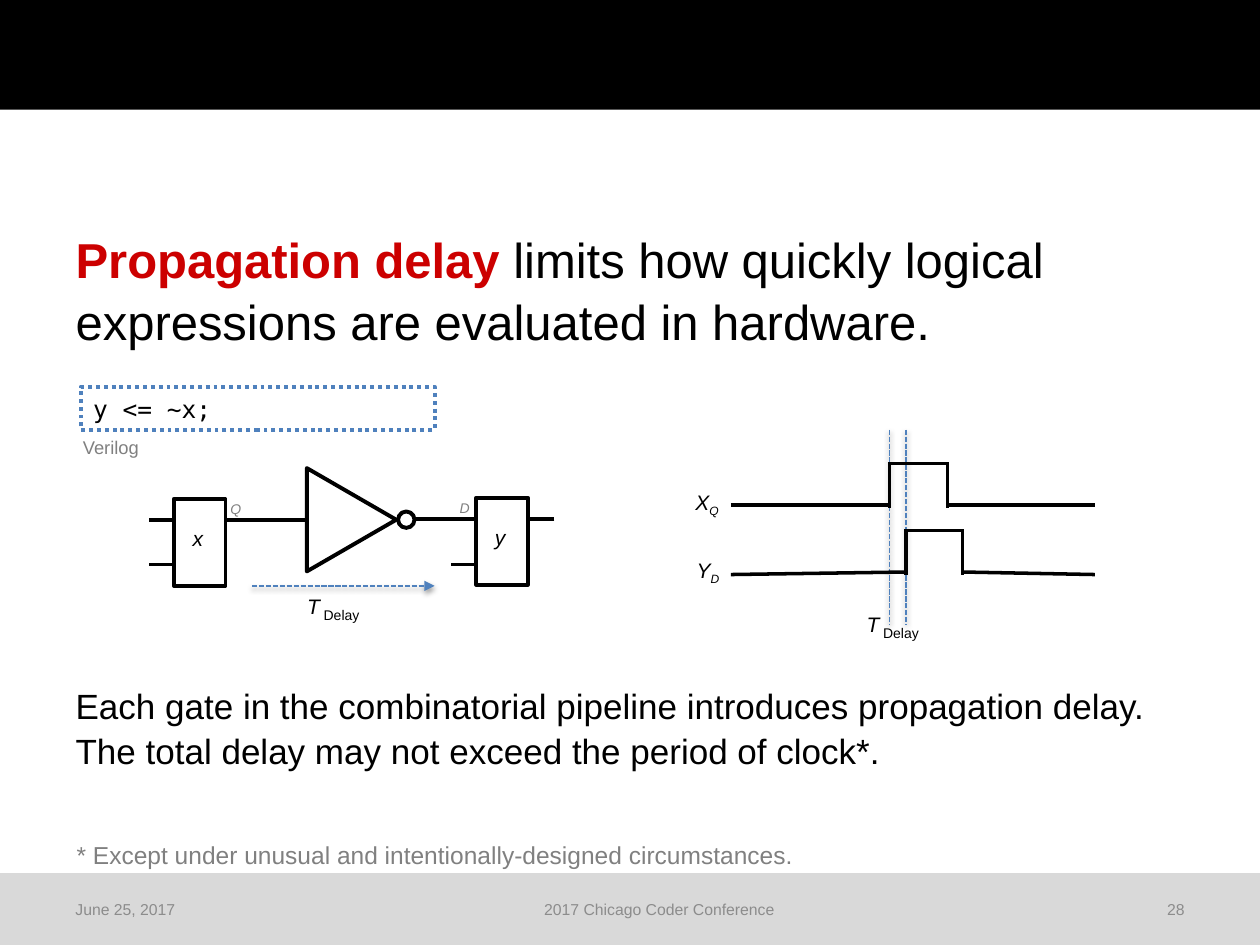
from lxml.etree import SubElement
from pptx import Presentation
from pptx.dml.color import RGBColor
from pptx.enum.dml import MSO_LINE
from pptx.enum.shapes import MSO_CONNECTOR, MSO_SHAPE
from pptx.enum.text import MSO_ANCHOR, MSO_AUTO_SIZE, PP_ALIGN
from pptx.oxml.ns import qn
from pptx.util import Inches, Pt

BLACK, WHITE, GRAY, BLUE = "000000", "FFFFFF", "808080", "4F81BD"
color = RGBColor.from_string

presentation = Presentation()
presentation.slide_width = Inches(10)
presentation.slide_height = Inches(7.5)
slide = presentation.slides.add_slide(presentation.slide_layouts[1])
title = slide.shapes.title
title.element.getparent().remove(title.element)


def add_line(start, end, width, dashed=False):
    line = slide.shapes.add_connector(
        MSO_CONNECTOR.STRAIGHT, *[Inches(value) for value in (*start, *end)])
    line.line.width = Pt(width)
    line.line.color.rgb = color(BLUE if dashed else BLACK)
    effects = SubElement(line.element.spPr, qn("a:effectLst"))
    if dashed:
        line.line.dash_style = MSO_LINE.SQUARE_DOT
        shadow = SubElement(effects, qn("a:outerShdw"), blurRad=str(Pt(3.1)),
                            dist=str(Pt(1.6)), dir="5400000", rotWithShape="0")
        shadow_color = SubElement(shadow, qn("a:srgbClr"), val=BLACK)
        SubElement(shadow_color, qn("a:alpha"), val="38000")
    return line


def add_text(box, text, size, text_color=BLACK, italic=False, subscript="",
             align=PP_ALIGN.LEFT, anchor=MSO_ANCHOR.MIDDLE, wrap=False):
    shape = slide.shapes.add_textbox(*[Inches(value) for value in box])
    frame = shape.text_frame
    frame.word_wrap = wrap
    frame.vertical_anchor = anchor
    paragraph = frame.paragraphs[0]
    paragraph.text = text
    paragraph.alignment = align
    if subscript:
        run = paragraph.add_run()
        run.text = subscript
        run._r.get_or_add_rPr().set("baseline", "-25000")
    for run in paragraph.runs:
        run.font.name = "Arial"
        run.font.size = Pt(size)
        run.font.italic = italic
        run.font.color.rgb = color(text_color)


for top, height, band_color in ((6.93, 0.57, "D9D9D9"), (0, 0.87, BLACK)):
    band = slide.shapes.add_shape(
        MSO_SHAPE.RECTANGLE, 0, Inches(top), Inches(10), Inches(height))
    band.shadow.inherit = False
    band.fill.solid()
    band.fill.fore_color.rgb = color(band_color)
    band.line.fill.background()

body = slide.placeholders[1]
body.left, body.top = Inches(0.5), Inches(1.75)
body.width, body.height = Inches(9), Inches(4.95)
frame = body.text_frame
frame.auto_size = MSO_AUTO_SIZE.NONE
statement = frame.paragraphs[0]
statement.text = "Propagation delay "
statement.add_run().text = "limits how quickly logical expressions are evaluated in hardware."
conclusion = frame.add_paragraph()
conclusion.text = ("Each gate in the combinatorial pipeline introduces propagation delay. "
                   "The total delay may not exceed the period of clock*.")
for paragraph, size, space in ((statement, 28, 0), (conclusion, 20, 190)):
    properties = paragraph._p.get_or_add_pPr()
    properties.set("marL", "0")
    properties.set("indent", "0")
    SubElement(properties, qn("a:buNone"))
    paragraph.line_spacing = 1.05
    paragraph.space_before = Pt(space)
    for run in paragraph.runs:
        run.font.name = "Arial"
        run.font.size = Pt(size)
        run.font.color.rgb = color(BLACK)
statement.runs[0].font.bold = True
statement.runs[0].font.color.rgb = color("CC0000")

for left, width, text, align in (
        (0.5, 1.22, "June 25, 2017", PP_ALIGN.LEFT),
        (1.72, 7.06, "2017 Chicago Coder Conference ", PP_ALIGN.CENTER),
        (8.78, 0.72, "28", PP_ALIGN.RIGHT)):
    add_text((left, 7.02, width, 0.4), text, 9, "8C8C8C", align=align, wrap=True)

x_rise, y_rise = 7.06, 7.19
for x in (x_rise, y_rise):
    add_line((x, 3.41), (x, 4.96), 1, dashed=True)
for rise, fall, high, low, end_low in (
        (x_rise, 7.52, 3.68, 4.01, 4.01), (y_rise, 7.64, 4.21, 4.54, 4.56)):
    add_line((rise, high), (fall, high), 2)
    add_line((fall, low), (8.69, end_low), 2)
    add_line((5.8, end_low), (rise, low), 2)
    for x in (rise, fall):
        add_line((x, high - 0.01), (x, low + 0.02), 2)
add_text((5.42, 3.85, 0.43, 0.3), "X", 12, italic=True, subscript="Q", wrap=True)
add_text((5.43, 4.39, 0.57, 0.3), "Y", 12, italic=True, subscript="D", wrap=True)

add_line((1.92, 4.13), (2.45, 4.13), 2.25)
add_line((3.29, 4.12), (3.58, 4.12), 2.25)
for kind, box, rotation, fill in (
        (MSO_SHAPE.OVAL, (3.16, 4.06, 0.13, 0.13), 0, None),
        (MSO_SHAPE.ISOSCELES_TRIANGLE, (2.38, 3.77, 0.82, 0.71), 90, None),
        (MSO_SHAPE.RECTANGLE, (1.38, 3.96, 0.41, 0.69), 0, WHITE),
        (MSO_SHAPE.RECTANGLE, (3.78, 3.95, 0.41, 0.69), 0, WHITE)):
    part = slide.shapes.add_shape(kind, *[Inches(value) for value in box])
    part.shadow.inherit = False
    part.rotation = rotation
    if fill:
        part.fill.solid()
        part.fill.fore_color.rgb = color(fill)
    else:
        part.fill.background()
    part.line.color.rgb = color(BLACK)
    part.line.width = Pt(2.25)
for left, wire_y in ((1.38, 4.13), (3.78, 4.12)):
    right = left + 0.41
    add_line((left, 4.48), (left - 0.2, 4.48), 2.25)
    add_line((right + 0.21, wire_y), (right, wire_y), 2.25)
    add_line((left, wire_y), (left - 0.2, wire_y), 2.25)

for left, top, text in ((1.43, 4.12, "x"), (3.83, 4.11, "y")):
    add_text((left, top, 0.33, 0.3), text, 12, italic=True)
for left, top, text in ((3.55, 3.91, "D"), (1.73, 3.92, "Q")):
    add_text((left, top, 0.28, 0.24), text, 8, GRAY, italic=True)

delay_arrow = add_line((2, 4.65), (3.45, 4.65), 1, dashed=True)
SubElement(delay_arrow.line._get_or_add_ln(), qn("a:tailEnd"), type="triangle")
for left, top in ((6.78, 4.8), (2.34, 4.66)):
    add_text((left, top, 0.57, 0.3), "T", 12, italic=True, wrap=True)
    add_text((left + 0.13, top + 0.1, 0.49, 0.24), "Delay", 8)

code = slide.shapes.add_shape(
    MSO_SHAPE.RECTANGLE, Inches(0.64), Inches(3.07), Inches(2.81), Inches(0.34))
code.shadow.inherit = False
code.fill.solid()
code.fill.fore_color.rgb = color(WHITE)
code.line.color.rgb = color(BLUE)
code.line.width = Pt(2.25)
code.line.dash_style = MSO_LINE.ROUND_DOT
code.text_frame.text = "y <= ~x;"
code.text_frame.vertical_anchor = MSO_ANCHOR.MIDDLE
paragraph = code.text_frame.paragraphs[0]
paragraph.alignment = PP_ALIGN.LEFT
font = paragraph.runs[0].font
font.name = "DejaVu Sans Mono"
font.size = Pt(14)
font.color.rgb = color(BLACK)
add_text((0.56, 3.41, 0.69, 0.29), "Verilog", 10.5, GRAY, anchor=MSO_ANCHOR.TOP)
add_text((0.51, 6.62, 5.93, 0.34),
         "* Except under unusual and intentionally-designed circumstances.",
         14, GRAY, anchor=MSO_ANCHOR.TOP)

presentation.save("out.pptx")
